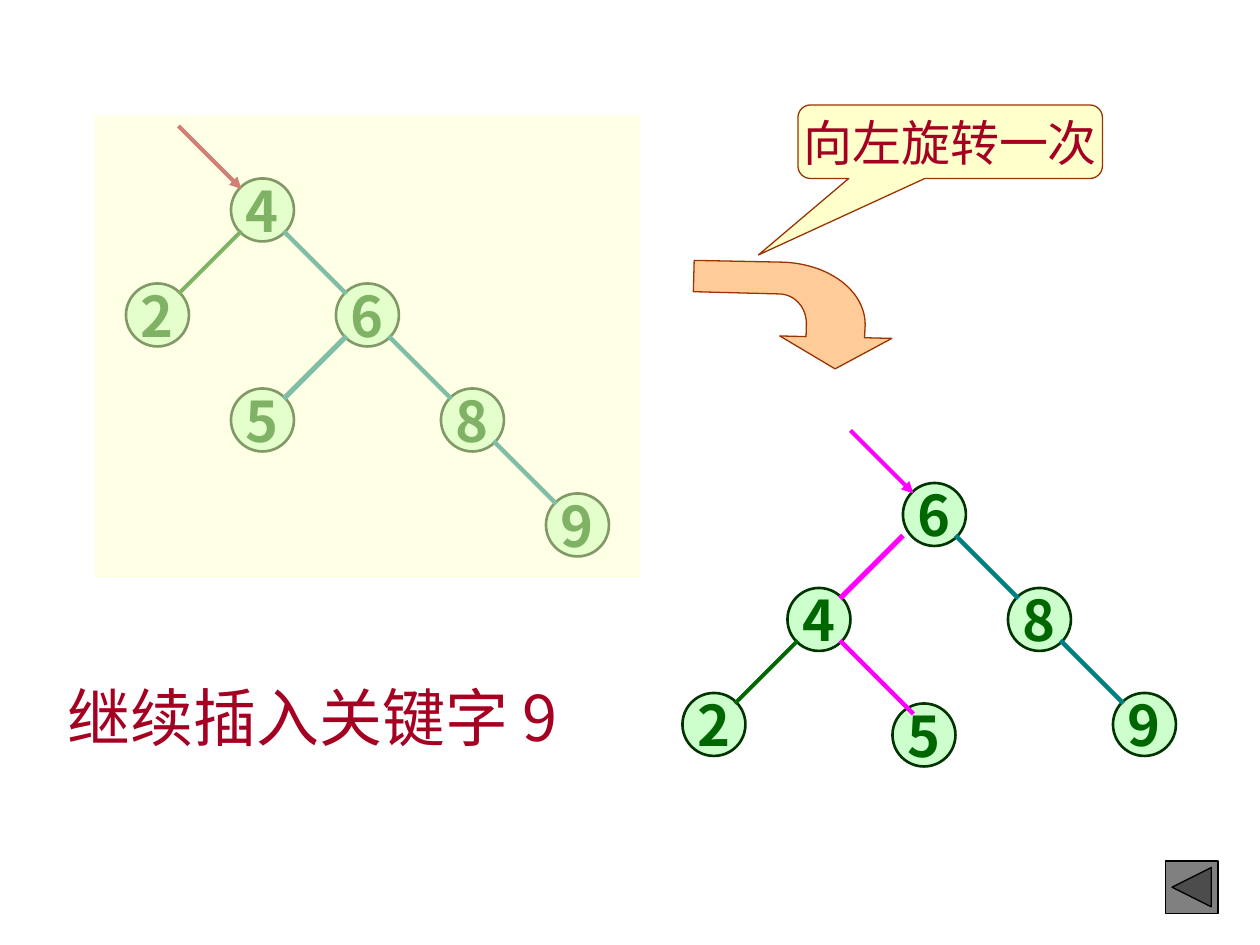
from lxml import etree
from pptx import Presentation
from pptx.dml.color import RGBColor
from pptx.enum.shapes import MSO_CONNECTOR, MSO_SHAPE
from pptx.enum.text import MSO_ANCHOR, MSO_AUTO_SIZE, PP_ALIGN
from pptx.oxml.ns import qn
from pptx.util import Pt

STRAIGHT = MSO_CONNECTOR.STRAIGHT
OVAL = MSO_SHAPE.OVAL
RECTANGLE = MSO_SHAPE.RECTANGLE
CALLOUT = MSO_SHAPE.ROUNDED_RECTANGULAR_CALLOUT
BACK_BUTTON = MSO_SHAPE.ACTION_BUTTON_BACK_OR_PREVIOUS
MIDDLE = MSO_ANCHOR.MIDDLE
CENTER = PP_ALIGN.CENTER
GROW = MSO_AUTO_SIZE.SHAPE_TO_FIT_TEXT

FONT = "Noto Sans CJK SC"
MINT = RGBColor(0xCC, 0xFF, 0xCC)
FOREST = RGBColor(0x00, 0x33, 0x00)
GREEN = RGBColor(0x00, 0x66, 0x00)
TEAL = RGBColor(0x00, 0x80, 0x80)
CRIMSON = RGBColor(0xA5, 0x00, 0x21)
MAGENTA = RGBColor(0xFF, 0x00, 0xFF)
CREAM = RGBColor(0xFF, 0xFF, 0xCC)
PEACH = RGBColor(0xFF, 0xCC, 0x99)
BROWN = RGBColor(0x99, 0x33, 0x00)
GRAY = RGBColor(0x80, 0x80, 0x80)
BLACK = RGBColor(0x00, 0x00, 0x00)

NODE = 36
NEAR = 6
FAR = NODE - NEAR
CURVE_STEPS = 24

# fmt: off
BEFORE = {
    "root": "4",
    "arrow": CRIMSON,
    "nodes": {"4": (132, 102), "2": (72, 162), "6": (192, 162),
              "5": (132, 222), "8": (252, 222), "9": (312, 282)},
    "edges": [("4", "2", GREEN, 2.25, 0, 0), ("4", "6", TEAL, 2.5, 0, 0),
              ("6", "5", TEAL, 3, 0, 0), ("6", "8", TEAL, 2.5, 0, 0),
              ("8", "9", TEAL, 2.5, 0, 0)],
}
AFTER = {
    "root": "6",
    "arrow": MAGENTA,
    "nodes": {"6": (516, 276), "4": (450, 336), "2": (390, 396),
              "8": (576, 336), "9": (636, 396), "5": (510, 402)},
    "edges": [("4", "2", GREEN, 2.25, 0, 0), ("6", "4", MAGENTA, 3, -6, 0),
              ("6", "8", TEAL, 2.5, 0, 0), ("8", "9", TEAL, 2.5, 0, 0),
              ("4", "5", MAGENTA, 2.5, 0, 6)],
}
# fmt: on
ROTATION_ARROW = [
    [(477.2, 210.8)],
    [(509.6, 193.4)],
    [(494, 193)],
    [(494.4, 185.8)],
    [(494.6, 166.4), (473.8, 150.4), (446.4, 149.8)],
    [(396.7, 148.8)],
    [(396.2, 166.7)],
    [(445.8, 168)],
    [(454.3, 168.5), (460.8, 175.7), (460.8, 185)],
    [(460.6, 192.4)],
    [(445.6, 192)],
]


def add_text(box, text, size, colour, bold=False, align=None):
    para = box.text_frame.paragraphs[0]
    para.alignment = align
    span = para.add_run()
    span.text = text
    span.font.size = Pt(size)
    span.font.name = FONT
    span.font.bold = bold
    span.font.color.rgb = colour
    etree.SubElement(span.font._element, qn("a:ea"), typeface=FONT)


def paint(shape, fill, line=None, width=0.75):
    shape.shadow.inherit = False
    shape.fill.solid()
    shape.fill.fore_color.rgb = fill
    if line is None:
        shape.line.fill.background()
    else:
        shape.line.color.rgb = line
        shape.line.width = Pt(width)


def add_shape(page, kind, place, fill, line=None, width=0.75):
    shape = page.shapes.add_shape(kind, *(Pt(value) for value in place))
    paint(shape, fill, line, width)
    return shape


def center_text(shape, text, size, colour, bold=False):
    shape.text_frame.word_wrap = False
    shape.text_frame.vertical_anchor = MIDDLE
    add_text(shape, text, size, colour, bold, CENTER)


def add_line(page, start, end, colour, width, arrow=False):
    line = page.shapes.add_connector(STRAIGHT, *(Pt(value) for value in start + end))
    line.line.color.rgb = colour
    line.line.width = Pt(width)
    if arrow:
        etree.SubElement(line.line._get_or_add_ln(), qn("a:tailEnd"), type="triangle")
    etree.SubElement(line._element.spPr, qn("a:effectLst"))


def add_tree(page, tree):
    nodes = tree["nodes"]
    for key, (left, top) in nodes.items():
        node = add_shape(page, OVAL, (left, top, NODE, NODE), MINT, FOREST, 1.5)
        center_text(node, key, 32, GREEN, True)
    for parent, child, colour, width, start_shift, end_shift in tree["edges"]:
        (left, top), (child_left, child_top) = nodes[parent], nodes[child]
        leave, reach = (NEAR, FAR) if child_left < left else (FAR, NEAR)
        start = (left + leave + start_shift, top + FAR)
        end = (child_left + reach + end_shift, child_top + NEAR)
        add_line(page, start, end, colour, width)
    left, top = nodes[tree["root"]]
    tip = (left + NEAR, top + NEAR)
    add_line(page, (tip[0] - NODE, tip[1] - NODE), tip, tree["arrow"], 2.25, True)


def bezier(points, t):
    weights = ((1 - t) ** 3, 3 * t * (1 - t) ** 2, 3 * t**2 * (1 - t), t**3)
    return tuple(sum(w * p[axis] for w, p in zip(weights, points)) for axis in (0, 1))


def add_outline(page, steps):
    points = []
    for step in steps:
        if len(step) == 1:
            points += step
        else:
            curve = [points[-1]] + step
            points += [bezier(curve, i / CURVE_STEPS) for i in range(1, CURVE_STEPS + 1)]
    corners = [(Pt(x), Pt(y)) for x, y in points]
    builder = page.shapes.build_freeform(*corners[0])
    builder.add_line_segments(corners[1:], close=True)
    return builder.convert_to_shape()


def main():
    deck = Presentation()
    deck.slide_width, deck.slide_height = Pt(720), Pt(540)
    page = deck.slides.add_slide(deck.slide_layouts[6])

    add_tree(page, BEFORE)
    veil = add_shape(page, RECTANGLE, (54, 66, 312, 264), CREAM)
    veil_colour = veil._element.spPr.find(qn("a:solidFill"))[0]
    etree.SubElement(veil_colour, qn("a:alpha"), val="50000")
    add_tree(page, AFTER)

    paint(add_outline(page, ROTATION_ARROW), PEACH, BROWN)

    callout = add_shape(page, CALLOUT, (456, 60, 174, 42), CREAM, BROWN)
    for index, value in enumerate((-0.63, 1.54, 0.17)):
        callout.adjustments[index] = value
    center_text(callout, "向左旋转一次", 28, CRIMSON)

    caption = page.shapes.add_textbox(Pt(31.5), Pt(384), Pt(316), Pt(50.4))
    caption.text_frame.word_wrap = True
    caption.text_frame.auto_size = GROW
    add_text(caption, "继续插入关键字 9", 36, CRIMSON)

    add_shape(page, BACK_BUTTON, (666, 492, 30, 30), GRAY, BLACK)
    deck.save("out.pptx")


if __name__ == "__main__":
    main()
